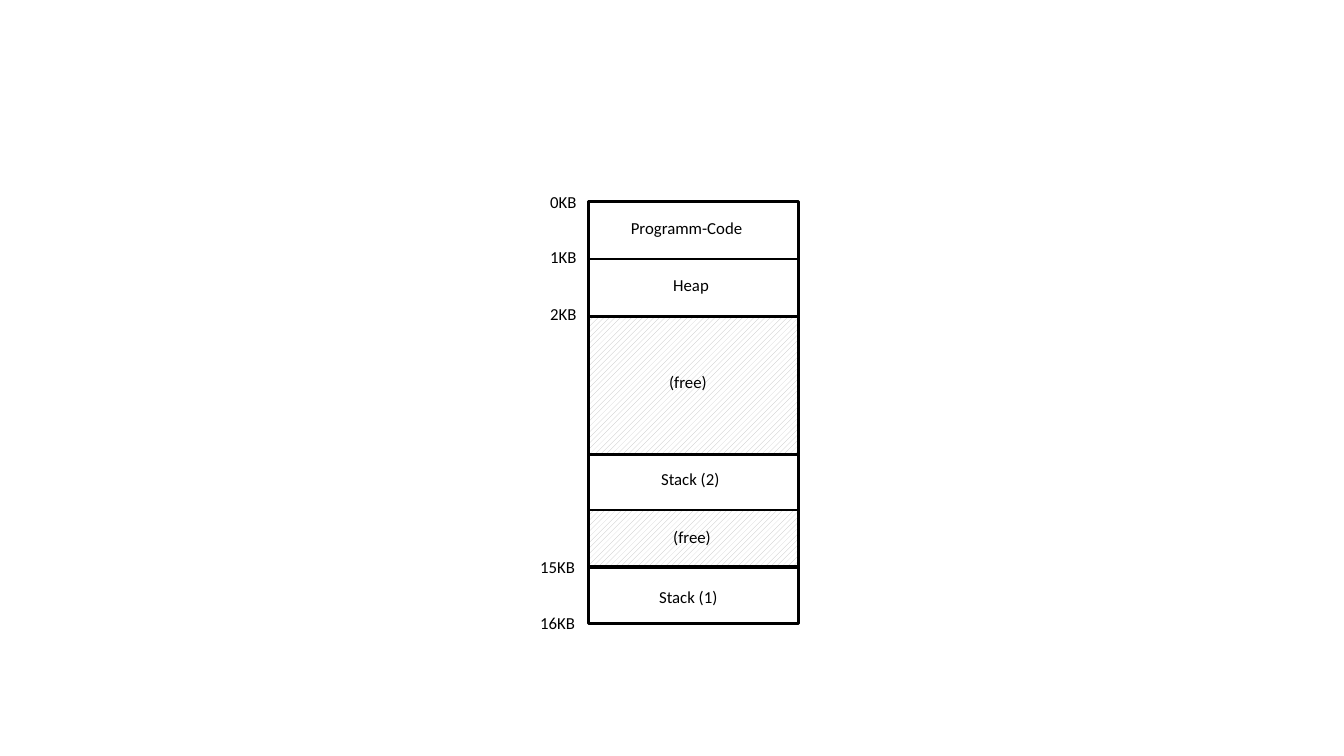
from dataclasses import dataclass
from pptx import Presentation
from pptx.dml.color import RGBColor
from pptx.enum.dml import MSO_PATTERN
from pptx.enum.shapes import MSO_SHAPE
from pptx.enum.text import MSO_AUTO_SIZE
from pptx.util import Pt

RECT = MSO_SHAPE.RECTANGLE
HATCH = MSO_PATTERN.WIDE_UPWARD_DIAGONAL
GROW = MSO_AUTO_SIZE.SHAPE_TO_FIT_TEXT


@dataclass(frozen=True)
class Theme:
    """Colours, font and sizes of the slide."""
    ink: RGBColor = RGBColor(0, 0, 0)
    paper: RGBColor = RGBColor(255, 255, 255)
    gray: RGBColor = RGBColor(0xBF, 0xBF, 0xBF)
    font: str = "Calibri"
    size: float = 12
    line: float = 1.75


THEME = Theme()
LABEL_H = 21.6

# name, top, height, hatched, label left, label top, label width
BLOCKS = [
    ("Programm-Code", 0, 41, False, 23, 7.9, 103.7),
    ("Heap", 41, 41, False, 53.3, 7.9, 43.2),
    ("(free)", 82, 98.7, True, 50.4, 36, 43.2),
    ("Stack (2)", 180.7, 41, False, 44.6, 6.5, 63.4),
    ("(free)", 220.3, 41, True, 53.3, 8.6, 43.2),
    ("Stack (1)", 260.6, 41, False, 43.2, 10.8, 63.4),
]
# text, left, top, width
MARKS = [
    ("0KB", 7.2, 0, 37.4),
    ("1KB", 7.2, 39.6, 37.4),
    ("2KB", 7.2, 79.9, 37.4),
    ("15KB", 0, 260.6, 43.9),
    ("16KB", 0, 301, 43.9),
]


def add_label(slide, text, left, top, width):
    """Place one line of text that does not wrap."""
    box = slide.shapes.add_textbox(Pt(left), Pt(top), Pt(width), Pt(LABEL_H))
    frame = box.text_frame
    frame.text = text
    frame.word_wrap = False
    frame.auto_size = GROW
    font = frame.paragraphs[0].runs[0].font
    font.name = THEME.font
    font.size = Pt(THEME.size)
    font.color.rgb = THEME.ink


def add_block(slide, left, top, width, height, hatched):
    """Draw one memory segment, hatched when it is free."""
    block = slide.shapes.add_shape(RECT, Pt(left), Pt(top), Pt(width), Pt(height))
    block.shadow.inherit = False
    block.line.color.rgb = THEME.ink
    block.line.width = Pt(THEME.line)
    if hatched:
        block.fill.patterned()
        block.fill.pattern = HATCH
        block.fill.fore_color.rgb = THEME.gray
        block.fill.back_color.rgb = THEME.paper
    else:
        block.fill.background()


def add_memory(slide, left, top, width):
    """Stack the segments in the box and then name them."""
    for _, down, height, hatched, *_ in BLOCKS:
        add_block(slide, left, top + down, width, height, hatched)
    for name, down, _, _, dx, dy, wide in BLOCKS:
        add_label(slide, name, left + dx, top + down + dy, wide)


def add_scale(slide, left, top):
    """Write the addresses beside the segments."""
    for text, dx, dy, wide in MARKS:
        add_label(slide, text, left + dx, top + dy, wide)


def main():
    """Build and save the slide."""
    deck = Presentation()
    deck.slide_width, deck.slide_height = Pt(960), Pt(540)
    slide = deck.slides.add_slide(deck.slide_layouts[6])
    add_memory(slide, 420.5, 144, 149.8)
    add_scale(slide, 378.7, 133.2)
    deck.save("out.pptx")


if __name__ == "__main__":
    main()
